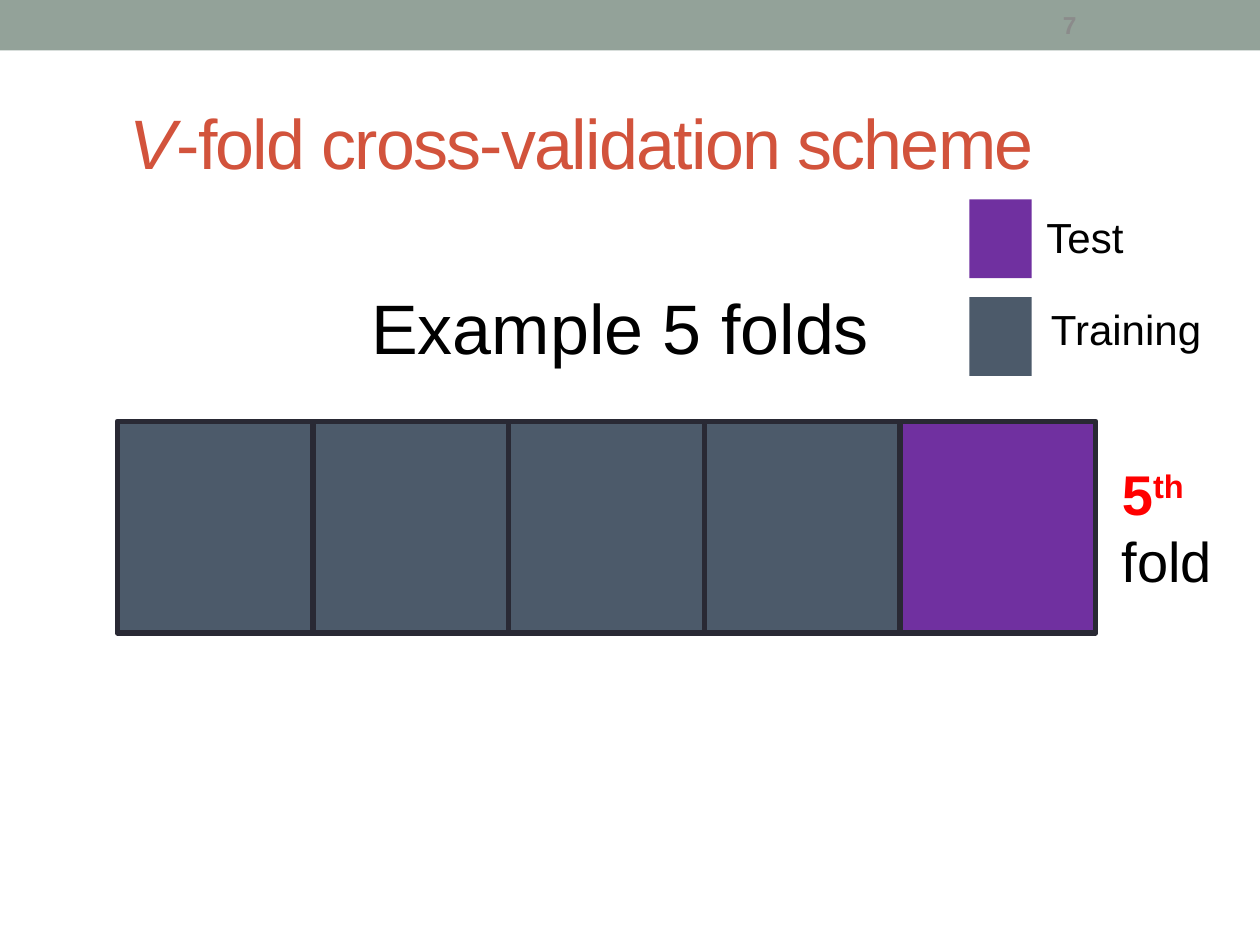
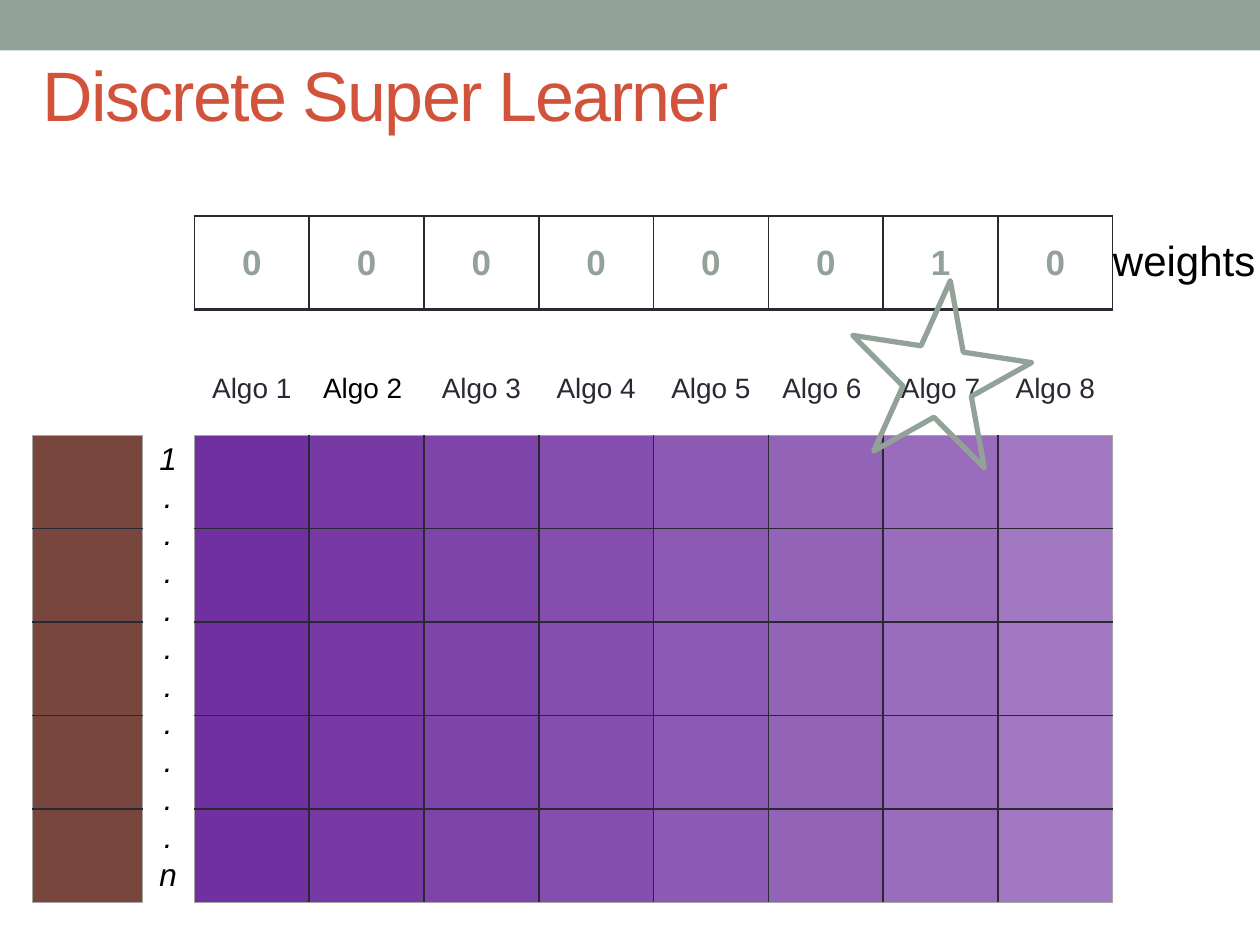
from lxml import etree
from pptx import Presentation
from pptx.dml.color import RGBColor
from pptx.enum.shapes import MSO_SHAPE as SHAPE
from pptx.enum.text import MSO_ANCHOR as ANCHOR, PP_ALIGN as ALIGN
from pptx.oxml.ns import qn
from pptx.util import Pt

rgb = RGBColor.from_string
SAGE, RUST, INK, SLATE = "93A299", "D2533C", "292934", "4C5A6A"
PURPLE, BROWN, BLACK, RED = "7030A0", "79463D", "000000", "FF0000"
GREY, EDGE = "8B8B8B", "A6A6A6"
FONT = "Arial"
NO_STYLE = "{2D5ABB26-0587-4C30-8999-92F81FD0307C}"


def add_run(p, text, size, colour, bold=False, italic=False):
    r = p.add_run()
    r.text = text
    r.font.name, r.font.size = FONT, Pt(size)
    r.font.bold, r.font.italic = bold, italic
    r.font.color.rgb = rgb(colour)
    return r


def add_grid(s, x, y, col_w, row_h, rows, cols, fill=None, first=0):
    """Add a table of equal cells; rows from first on get lines and the fill, paler by column."""
    frame = s.shapes.add_table(rows, cols, Pt(x), Pt(y), Pt(col_w * cols), Pt(row_h * rows))
    table = frame.table
    table.first_row = table.horz_banding = False
    table._tbl.tblPr.find(qn("a:tableStyleId")).text = NO_STYLE
    for col in table.columns:
        col.width = Pt(col_w)
    for row in table.rows:
        row.height = Pt(row_h)
    for i in range(rows):
        for c in range(cols):
            cell = table.cell(i, c)
            cell.vertical_anchor = ANCHOR.MIDDLE
            cell.margin_left = cell.margin_right = Pt(5)
            if i < first:
                continue
            tc_pr = cell._tc.get_or_add_tcPr()
            outer = {"lnL": c == 0, "lnR": c == cols - 1, "lnT": i == first, "lnB": i == rows - 1}
            for side, on_edge in outer.items():
                soft = on_edge and fill
                ln = etree.SubElement(tc_pr, qn("a:" + side), w=str(Pt(0.5 if soft else 1)))
                solid = etree.SubElement(ln, qn("a:solidFill"))
                etree.SubElement(solid, qn("a:srgbClr"), val=EDGE if soft else INK)
            if fill:
                cell.fill.solid()
                cell.fill.fore_color.rgb = rgb(fill)
                if c:
                    clr = tc_pr.find(qn("a:solidFill")).find(qn("a:srgbClr"))
                    etree.SubElement(clr, qn("a:alpha"), val=str(100000 - 5000 * c))
    return table


prs = Presentation()
prs.slide_width, prs.slide_height = Pt(720), Pt(540)

# Slides and titles
titles = [
    ((67, 28.8, 620.6, 104.4), [("V", True), ("-fold cross-validation scheme", False)]),
    ((17.2, 1, 653.8, 104.4), [("Discrete Super Learner", False)]),
]
for (x, y, w, h), parts in titles:
    s = prs.slides.add_slide(prs.slide_layouts[5])
    title = s.shapes.title
    title.left, title.top, title.width, title.height = Pt(x), Pt(y), Pt(w), Pt(h)
    tf = title.text_frame
    tf.vertical_anchor = ANCHOR.MIDDLE
    p = tf.paragraphs[0]
    p.alignment = ALIGN.LEFT
    for text, italic in parts:
        r = add_run(p, text, 40, RUST, italic=italic)
        r.font._element.set("spc", "-100")
folds, learner = prs.slides

# Top band, moved to the master so that both slides share it
band = folds.shapes.add_shape(SHAPE.RECTANGLE, 0, 0, Pt(720), Pt(28.8))
band.shadow.inherit = False
band.fill.solid()
band.fill.fore_color.rgb = rgb(SAGE)
band.line.fill.background()
prs.slide_master.shapes._spTree.insert(2, band._element)

# Five folds and the two legend swatches
FOLD_W = 111.85
blocks = [(67 + FOLD_W * i, 240.7, FOLD_W, 121, PURPLE if i == 4 else SLATE, True)
          for i in range(5)]
blocks += [(553.9, 114, 35.6, 45, PURPLE, False), (553.9, 169.8, 35.6, 45, SLATE, False)]
for x, y, w, h, colour, outlined in blocks:
    sp = folds.shapes.add_shape(SHAPE.RECTANGLE, Pt(x), Pt(y), Pt(w), Pt(h))
    sp.shadow.inherit = False
    sp.fill.solid()
    sp.fill.fore_color.rgb = rgb(colour)
    if outlined:
        sp.line.color.rgb = rgb(INK)
        sp.line.width = Pt(3)
    else:
        sp.line.fill.background()

# Algorithm predictions, outcome, and the weights row inside its frame
COL_W, ROW_H, GRID_X, GRID_Y = 65.6, 53.4, 111.1, 195.3
algos = add_grid(learner, GRID_X, GRID_Y, COL_W, ROW_H, 6, 8, PURPLE, first=1)
add_grid(learner, 18.7, GRID_Y + ROW_H, 62.6, ROW_H, 5, 1, BROWN)
add_grid(learner, GRID_X, 123.1, COL_W, ROW_H, 1, 8)
weights = add_grid(learner, GRID_X, 123.8, COL_W, ROW_H, 1, 8)

labels = ["Algo 1", "Algo 2 ", "Algo 3", "Algo 4", "Algo 5", "Algo 6 ", "Algo 7", "Algo 8"]
for c, label in enumerate(labels):
    for table, text, size, colour, bold in [
        (weights, "1" if c == 6 else "0", 20, SAGE, True),
        (algos, label, 16, BLACK if c == 1 else INK, False),
    ]:
        p = table.cell(0, c).text_frame.paragraphs[0]
        p.alignment = ALIGN.CENTER
        add_run(p, text, size, colour, bold)

# Text boxes: slide, place, alignment, then paragraphs of (text, size, colour, bold, italic)
row_marks = ["1\n.\n.\n.\n.\n."] + ["."] * 4 + [".\nn"]
rows_1_to_n = [[(mark, 18, BLACK, False, True)] for mark in row_marks]
texts = [
    (folds, (600.2, 0, 60, 28.8), ALIGN.LEFT, [[("7", 14, GREY, True)]]),
    (folds, (178.8, 159.1, 362.2, 55.4), ALIGN.CENTER, [[("Example 5 folds ", 40, BLACK)]]),
    (folds, (590.9, 117.4, 124.6, 36), ALIGN.LEFT, [[("Test", 24, BLACK)]]),
    (folds, (593.5, 169.9, 124.6, 36), ALIGN.LEFT, [[("Training", 24, BLACK)]]),
    (folds, (634, 259, 83.5, 85), ALIGN.LEFT,
     [[("5", 32, RED, True), ("th", 32, RED, True)], [("fold", 32, BLACK)]]),
    (learner, (81, 247.2, 30.2, 268.6), ALIGN.CENTER, rows_1_to_n),
    (learner, (624.8, 130.3, 103.7, 37.4), ALIGN.CENTER, [[("weights", 24, BLACK)]]),
]
for s, (x, y, w, h), align, paragraphs in texts:
    tf = s.shapes.add_textbox(Pt(x), Pt(y), Pt(w), Pt(h)).text_frame
    tf.word_wrap = True
    if y == 0:
        tf.vertical_anchor = ANCHOR.MIDDLE
    for i, runs in enumerate(paragraphs):
        p = tf.add_paragraph() if i else tf.paragraphs[0]
        p.alignment = align
        if paragraphs is rows_1_to_n:
            p.line_spacing = Pt(21.6)
        for text, *style in runs:
            for n, line in enumerate(text.split("\n")):
                if n:
                    p.add_line_break()
                r = add_run(p, line, *style)
            if text == "th":
                r.font._element.set("baseline", "30000")

# Star on the chosen algorithm
star = learner.shapes.add_shape(SHAPE.STAR_5_POINT, Pt(487), Pt(167), Pt(108.7), Pt(97.9))
star.shadow.inherit = False
star.rotation = 79.7
star.fill.background()
star.line.color.rgb = rgb(SAGE)
star.line.width = Pt(3)

prs.save("out.pptx")
